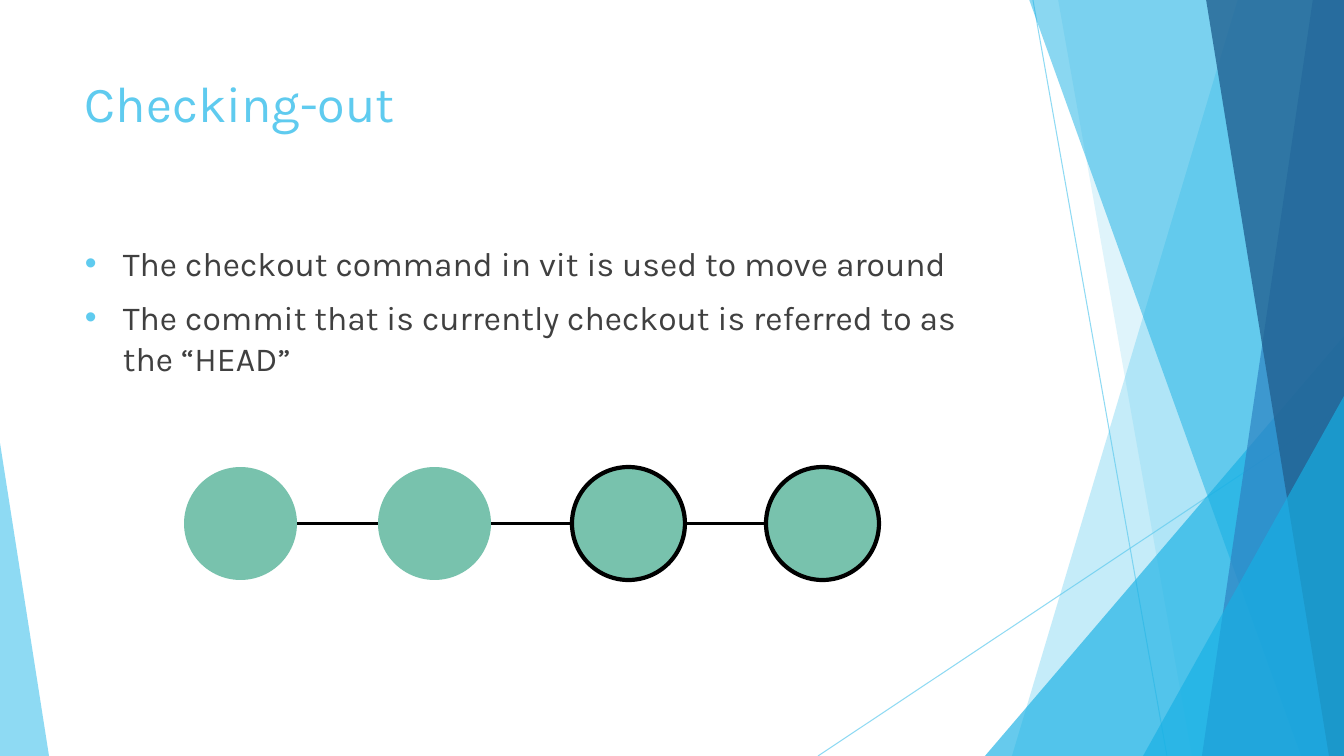
from lxml import etree
from pptx import Presentation
from pptx.dml.color import RGBColor
from pptx.enum.shapes import MSO_CONNECTOR, MSO_SHAPE
from pptx.enum.text import MSO_ANCHOR, PP_ALIGN
from pptx.oxml.ns import qn
from pptx.util import Pt

STRAIGHT = MSO_CONNECTOR.STRAIGHT
OVAL = MSO_SHAPE.OVAL
TRIANGLE = MSO_SHAPE.ISOSCELES_TRIANGLE
TOP = MSO_ANCHOR.TOP
LEFT = PP_ALIGN.LEFT

SKY = RGBColor(0x5F, 0xCB, 0xEF)
CYAN = RGBColor(0x17, 0xB0, 0xE4)
BLUE = RGBColor(0x2E, 0x83, 0xC3)
NAVY = RGBColor(0x22, 0x62, 0x92)
GREEN = RGBColor(0x78, 0xC2, 0xAD)
GREY = RGBColor(0x40, 0x40, 0x40)
BLACK = RGBColor(0, 0, 0)

FONT = "Karla"
W, H = 1344, 756

TITLE = ["Checking-out"]
BULLETS = [
    "The checkout command in vit is used to move around",
    "The commit that is currently checkout is referred to as the “HEAD”",
]

# Rays: start x, y, end x, y
RAYS = [(1033, 0, 1167, H), (W, 406, 818, H)]
# Bands reach the right edge: left edge x at top and bottom, colour, opacity %
# Wedges stand on the bottom edge: left, top, width, apex position, colour, opacity %
DECOR = [
    ("band", 1238, 1012, SKY, 36),
    ("band", 1058, 1192, SKY, 20),
    ("wedge", 985, 336, 359, 1, CYAN, 66),
    ("band", 1029, 1301, CYAN, 50),
    ("band", 1313, 1202, BLUE, 70),
    ("band", 1206, 1329, NAVY, 80),
    ("wedge", 1143, 396, 201, 1, CYAN, 66),
    ("wedge", 0, 443, 49, 0, SKY, 70),
]

COMMITS = 4
OUTLINED = (2, 3)
COMMIT_X, COMMIT_Y, COMMIT_D, COMMIT_STEP = 184, 467, 113, 194


def px(n):
    return round(n * 914400 / 100.8)


def set_opacity(sp, percent):
    """Make the first colour of a shape or connector partly transparent."""
    color = sp._element.spPr.find(".//" + qn("a:srgbClr"))
    etree.SubElement(color, qn("a:alpha"), val=str(percent * 1000))


def style(sp, fill=None, opacity=100, line=None, width=0):
    sp.shadow.inherit = False
    if fill is None:
        sp.fill.background()
    else:
        sp.fill.solid()
        sp.fill.fore_color.rgb = fill
        if opacity < 100:
            set_opacity(sp, opacity)
    if line is None:
        sp.line.fill.background()
    else:
        sp.line.color.rgb = line
        sp.line.width = Pt(width)


def add_line(s, x1, y1, x2, y2, color, width, opacity=100):
    ln = s.shapes.add_connector(STRAIGHT, px(x1), px(y1), px(x2), px(y2))
    ln.line.color.rgb = color
    ln.line.width = Pt(width)
    if opacity < 100:
        set_opacity(ln, opacity)
    etree.SubElement(ln._element.spPr, qn("a:effectLst"))


def add_band(s, top_x, bottom_x, color, opacity):
    fb = s.shapes.build_freeform(px(top_x), px(-1))
    corners = [(W, -1), (W, H), (bottom_x, H)]
    fb.add_line_segments([(px(x), px(y)) for x, y in corners], close=True)
    style(fb.convert_to_shape(), color, opacity)


def add_wedge(s, x, y, w, apex, color, opacity):
    sp = s.shapes.add_shape(TRIANGLE, px(x), px(y), px(w), px(H - y))
    sp.adjustments[0] = apex
    style(sp, color, opacity)


def add_commit(s, i, **look):
    x = COMMIT_X + i * COMMIT_STEP
    sp = s.shapes.add_shape(OVAL, px(x), px(COMMIT_Y), px(COMMIT_D), px(COMMIT_D))
    style(sp, **look)


def add_bullet(p, color, indent):
    p_pr = p._p.get_or_add_pPr()
    p_pr.set("marL", str(px(indent)))
    p_pr.set("indent", str(-px(indent)))
    bu_clr = etree.SubElement(p_pr, qn("a:buClr"))
    etree.SubElement(bu_clr, qn("a:srgbClr"), val=str(color))
    etree.SubElement(p_pr, qn("a:buFont"), typeface="Arial")
    etree.SubElement(p_pr, qn("a:buChar"), char="•")


def add_text(s, lines, x, y, w, h, *, size, color, before=0, bullet=None):
    tf = s.shapes.add_textbox(px(x), px(y), px(w), px(h)).text_frame
    tf.word_wrap = True
    tf.vertical_anchor = TOP
    for i, text in enumerate(lines):
        p = tf.add_paragraph() if i else tf.paragraphs[0]
        p.alignment = LEFT
        p.space_before = Pt(before)
        if bullet is not None:
            add_bullet(p, bullet, 38)
        r = p.add_run()
        r.text = text
        r.font.name = FONT
        r.font.size = Pt(size)
        r.font.color.rgb = color


def main():
    prs = Presentation()
    prs.slide_width, prs.slide_height = px(W), px(H)
    s = prs.slides.add_slide(prs.slide_layouts[6])

    for ray in RAYS:
        add_line(s, *ray, SKY, 0.75, opacity=70)
    for kind, *args in DECOR:
        (add_band if kind == "band" else add_wedge)(s, *args)

    add_text(s, TITLE, 75, 67, 948, 145, size=36, color=SKY)
    add_text(s, BULLETS, 75, 238, 948, 427, size=24, color=GREY, before=10, bullet=SKY)

    mid_y = COMMIT_Y + COMMIT_D / 2
    for i in range(1, COMMITS):
        x = COMMIT_X + i * COMMIT_STEP
        add_line(s, x, mid_y, x - COMMIT_STEP + COMMIT_D, mid_y, BLACK, 2.25)
    for i in range(COMMITS):
        add_commit(s, i, fill=GREEN)
    for i in OUTLINED:
        add_commit(s, i, line=BLACK, width=3)

    prs.save("out.pptx")


if __name__ == "__main__":
    main()
